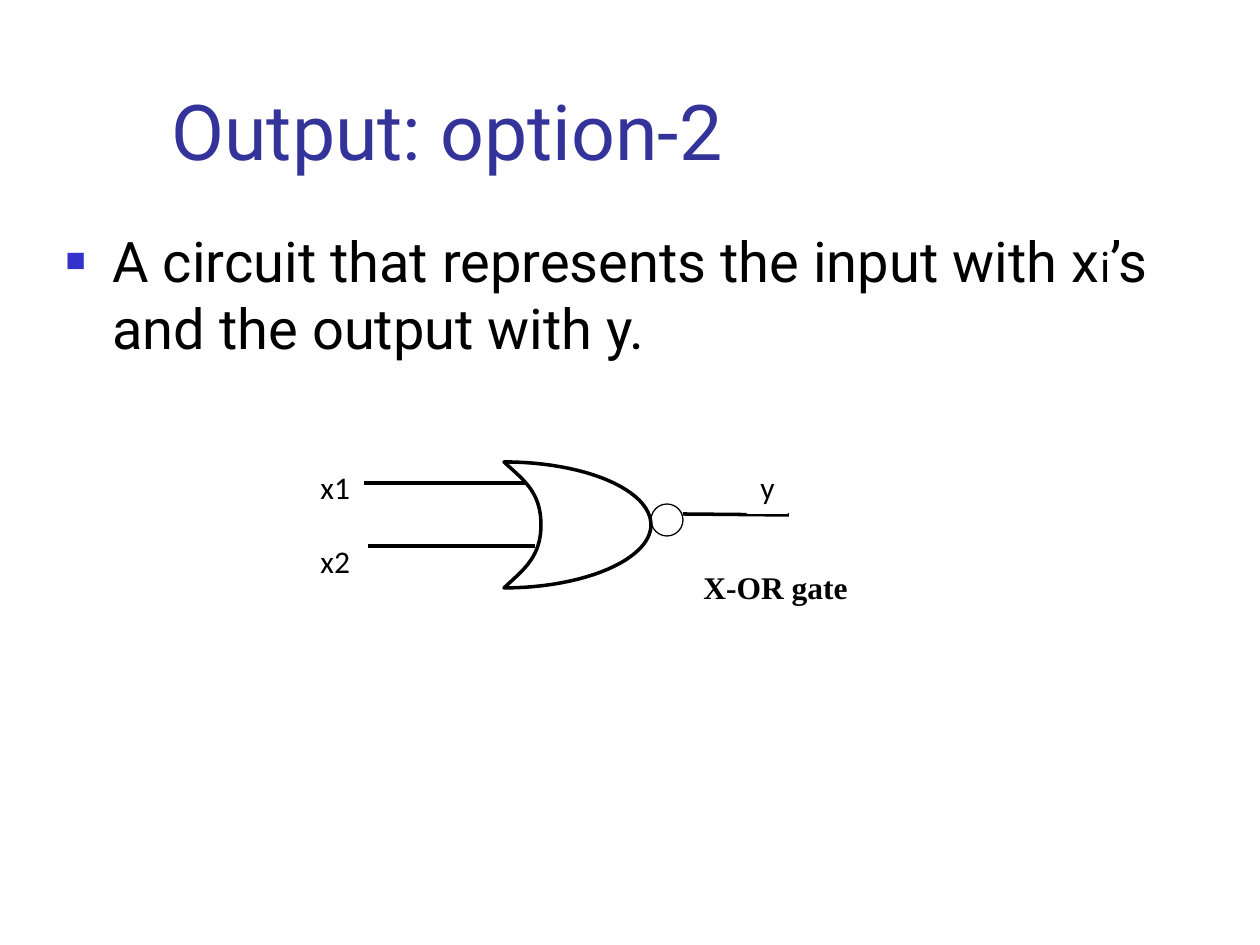
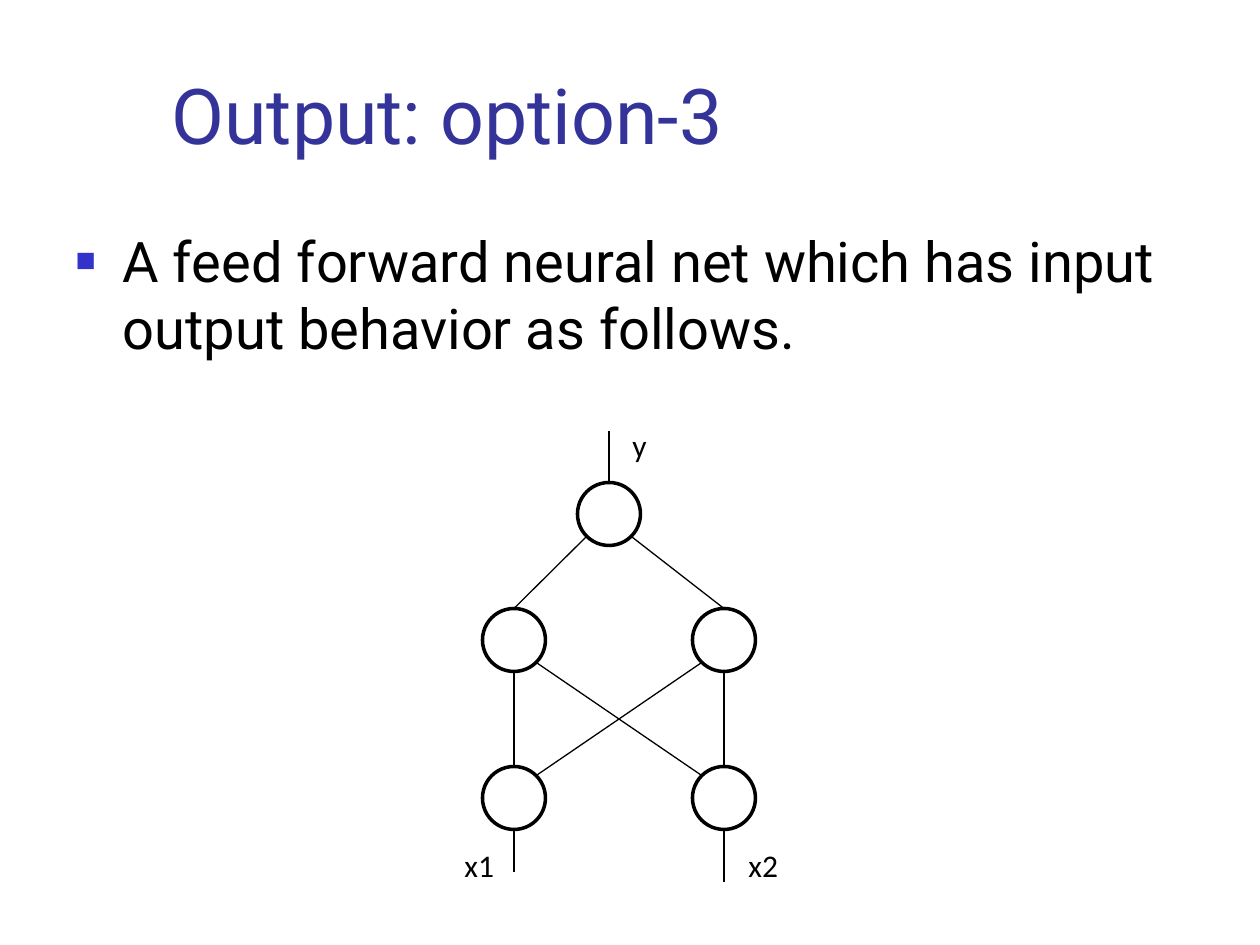
import pptx
import pptx.dml.color
import pptx.enum.shapes
import pptx.enum.text
import pptx.oxml.ns
import pptx.util
import lxml.etree

RGB = pptx.dml.color.RGBColor
SHAPE = pptx.enum.shapes.MSO_SHAPE
ALIGN = pptx.enum.text.PP_ALIGN
ANCHOR = pptx.enum.text.MSO_ANCHOR
AUTO = pptx.enum.text.MSO_AUTO_SIZE
PX = 914400 / 126
BLACK, WHITE = RGB(0, 0, 0), RGB(255, 255, 255)
TITLE_BLUE, BULLET_BLUE = RGB(0x33, 0x33, 0x99), RGB(0x33, 0x33, 0xCC)
THICK, THIN = 2, 0.74
TITLE = {"size": 44, "name": "Roboto", "color": TITLE_BLUE}
BODY = {"size": 32, "name": "Roboto", "color": BLACK}
SUBSCRIPT = {**BODY, "size": 24}
LABEL = {"size": 18, "name": "Calibri", "color": BLACK}
CAPTION = {**LABEL, "name": "Times New Roman", "bold": True}


def emu(n):
    """Turn pixels into EMU."""
    return pptx.util.Emu(round(n * PX))


def bezier(p0, p1, p2, p3, steps=24):
    """Return points along a cubic curve, without its start."""
    ts = [k / steps for k in range(1, steps + 1)]
    return [tuple((1 - t) ** 3 * a + 3 * (1 - t) ** 2 * t * b + 3 * (1 - t) * t * t * c + t ** 3 * d
                  for a, b, c, d in zip(p0, p1, p2, p3)) for t in ts]


class Deck:
    """Hold the style and the current slide."""

    def __init__(self):
        """Start an empty presentation."""
        self.prs = pptx.Presentation()
        self.prs.slide_width, self.prs.slide_height = emu(1260), emu(945)

    def slide(self):
        """Add a slide with title and body."""
        self.s = self.prs.slides.add_slide(self.prs.slide_layouts[1])
        self.shapes = self.s.shapes

    def group(self):
        """Send the following elements into a new group."""
        self.shapes = self.s.shapes.add_group_shape().shapes

    def place(self, sp, x, y, w, h):
        """Move and size a shape."""
        for name, value in {"left": x, "top": y, "width": w, "height": h}.items():
            setattr(sp, name, emu(value))

    def run(self, p, text, style):
        """Add a formatted run."""
        r = p.add_run()
        r.text = text
        for name, value in style.items():
            if name == "color":
                r.font.color.rgb = value
            else:
                setattr(r.font, name, pptx.util.Pt(value) if name == "size" else value)

    def title(self, text, height):
        """Fill the title placeholder."""
        sp = self.s.shapes.title
        self.place(sp, 159, 29, 1073, height)
        tf = sp.text_frame
        for name, value in {"vertical_anchor": ANCHOR.MIDDLE, "auto_size": AUTO.NONE}.items():
            setattr(tf, name, value)
        p = tf.paragraphs[0]
        p.alignment = ALIGN.LEFT
        self.run(p, text, TITLE)

    def body(self, x, *runs):
        """Fill the body placeholder with one square-bulleted paragraph."""
        sp = self.s.placeholders[1]
        self.place(sp, x, 220, 1144, 624)
        tf = sp.text_frame
        tf.auto_size = AUTO.NONE
        p = tf.paragraphs[0]
        p.space_before = pptx.util.Pt(8)
        for text, style in runs:
            self.run(p, text, style)
        pPr = p._p.get_or_add_pPr()
        for name, value in {"marL": emu(47), "indent": -emu(47)}.items():
            pPr.set(name, str(value))
        qn = pptx.oxml.ns.qn
        clr = lxml.etree.SubElement(pPr, qn("a:buClr"))
        lxml.etree.SubElement(clr, qn("a:srgbClr")).set("val", str(BULLET_BLUE))
        lxml.etree.SubElement(pPr, qn("a:buSzPct")).set("val", "60000")
        lxml.etree.SubElement(pPr, qn("a:buChar")).set("char", "■")

    def paint(self, sp, fill, line, width):
        """Set fill and outline."""
        sp.shadow.inherit = False
        if fill is None:
            sp.fill.background()
        else:
            sp.fill.solid()
            sp.fill.fore_color.rgb = fill
        sp.line.color.rgb = line
        sp.line.width = pptx.util.Pt(width)

    def circle(self, x, y, d, fill=WHITE, width=THICK):
        """Draw a circle."""
        sp = self.shapes.add_shape(SHAPE.OVAL, emu(x), emu(y), emu(d), emu(d))
        self.paint(sp, fill, BLACK, width)

    def label(self, text, x, y, w, style=LABEL, boxed=False):
        """Write a one-line label, on a white box if asked."""
        box = emu(x), emu(y), emu(w), emu(50)
        if boxed:
            sp = self.shapes.add_shape(SHAPE.RECTANGLE, *box)
            self.paint(sp, WHITE, WHITE, THICK)
        else:
            sp = self.shapes.add_textbox(*box)
        tf = sp.text_frame
        for name, value in {"word_wrap": True, "auto_size": AUTO.NONE, "margin_right": 0,
                            "vertical_anchor": ANCHOR.TOP}.items():
            setattr(tf, name, value)
        p = tf.paragraphs[0]
        p.alignment = ALIGN.LEFT
        self.run(p, text, style)

    def line(self, x1, y1, x2, y2, width=THIN):
        """Draw a straight line."""
        c = self.shapes.add_connector(pptx.enum.shapes.MSO_CONNECTOR.STRAIGHT,
                                      emu(x1), emu(y1), emu(x2), emu(y2))
        c.line.color.rgb = BLACK
        c.line.width = pptx.util.Pt(width)
        lxml.etree.SubElement(c._element.spPr, pptx.oxml.ns.qn("a:effectLst"))

    def outline(self, start, *curves):
        """Draw a closed white outline made of cubic curves."""
        fb = self.shapes.build_freeform(emu(start[0]), emu(start[1]))
        for curve in curves:
            pts = bezier(start, *curve)
            fb.add_line_segments([(emu(x), emu(y)) for x, y in pts], close=curve is curves[-1])
            start = curve[-1]
        self.paint(fb.convert_to_shape(), WHITE, BLACK, THICK)


def circuit_slide(deck):
    """Build the logic gate slide."""
    deck.slide()
    deck.title("Output: option-2", 202)
    deck.body(53, ("A circuit that represents the input with x", BODY), ("i", SUBSCRIPT),
              ("’s and the output with y.", BODY))
    deck.outline((504, 588),
                 ((522, 571), (541, 558), (541, 525)),
                 ((541, 491), (522, 479), (504, 462)),
                 ((585, 462), (651, 490), (651, 525)),
                 ((651, 559), (585, 588), (504, 588)))
    deck.line(683, 514, 789, 515, THICK)
    deck.label("y", 748, 462, 39, boxed=True)
    deck.line(357, 483, 525, 483, THICK)
    deck.line(368, 546, 535, 546, THICK)
    deck.label("x2", 308, 536, 54, boxed=True)
    deck.label("x1", 308, 462, 54, boxed=True)
    deck.circle(651, 504, 32, fill=None, width=THIN)
    deck.label("X-OR gate", 691, 562, 169, CAPTION)


def network_slide(deck):
    """Build the neural net slide."""
    left, right, top = 514, 724, 609
    out_y, hidden_y, in_y = 514, 640, 798
    radius, diag = 31.5, 23
    deck.slide()
    deck.title("Output: option-3", 170)
    deck.body(63, ("A feed forward neural net which has input output behavior as follows.", BODY))
    deck.group()
    for x, y in [(left, hidden_y), (right, hidden_y), (right, in_y), (left, in_y), (top, out_y)]:
        deck.circle(x - radius, y - radius, 2 * radius)
    for x, other, side, end in [(left, right, 1, 872), (right, left, -1, 882)]:
        deck.line(x, in_y - radius, x, hidden_y + radius)
        deck.line(x + side * diag, hidden_y + diag, other - side * diag, in_y - diag)
        deck.line(x, hidden_y - radius, top - side * diag, out_y + diag)
        deck.line(x, in_y + radius, x, end)
    deck.line(top, out_y - radius, top, 431)
    for text, x, y, w in [("x2", 736, 840, 54), ("x1", 452, 840, 54), ("y", 620, 420, 39)]:
        deck.label(text, x, y, w)


deck = Deck()
circuit_slide(deck)
network_slide(deck)
deck.prs.save("out.pptx")
